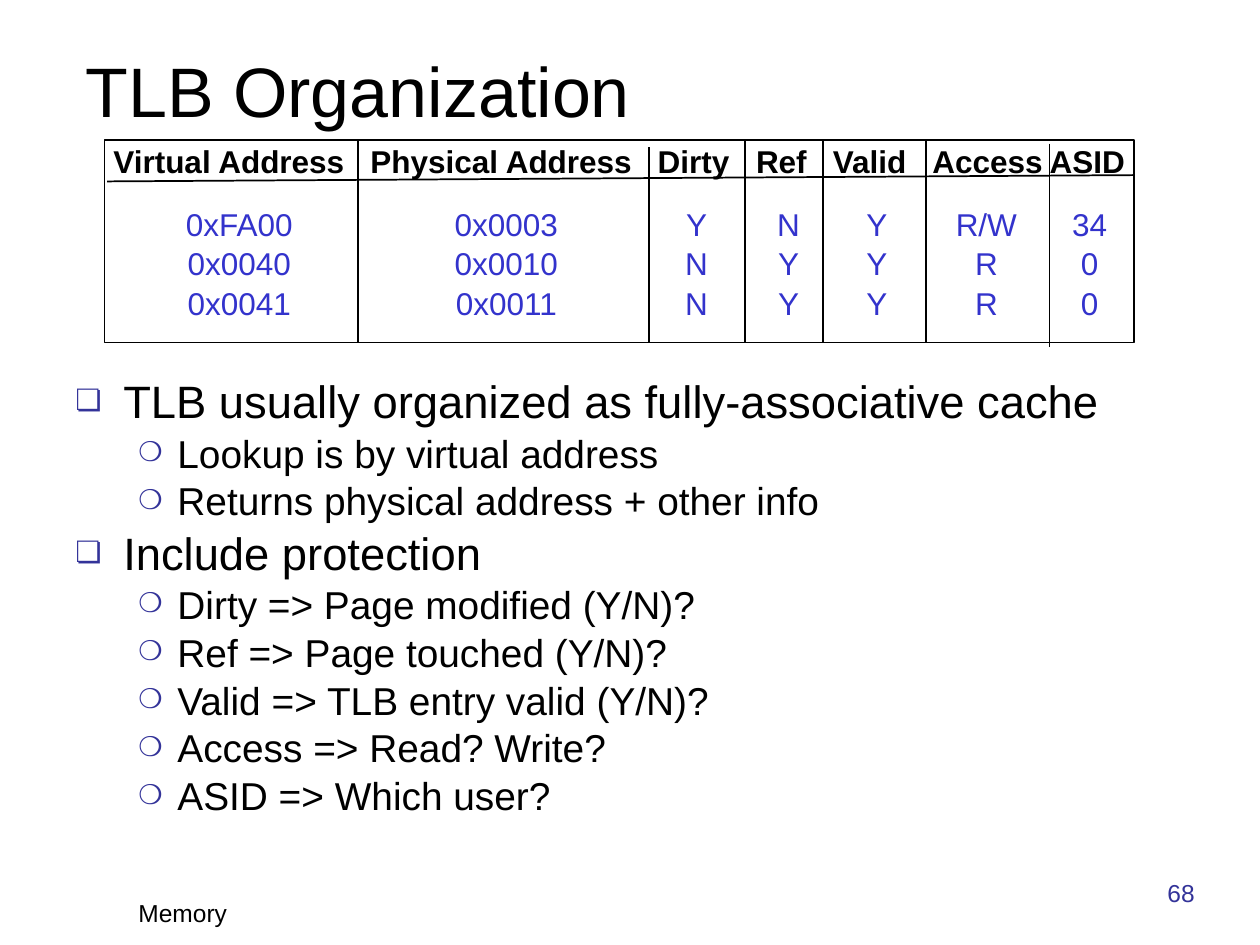
from lxml import etree
from pptx import Presentation
from pptx import util as u
from pptx.dml.color import RGBColor
from pptx.enum import shapes, text
from pptx.oxml import ns

COLORS = {"ink": "000000", "entry": "3333CC", "accent": "333399"}
FONT = "Arial"
HEADINGS = ["Virtual Address", "Physical Address", "Dirty", "Ref", "Valid", "Access", "ASID"]
HEADING_TABS = [2.04, 4.32, 5.1, 5.71, 6.5, 7.43]
ENTRIES = [
    ["0xFA00", "0x0003", "Y", "N", "Y", "R/W", "34"],
    ["0x0040", "0x0010", "N", "Y", "Y", "R", "0"],
    ["0x0041", "0x0011", "N", "Y", "Y", "R", "0"],
]
ENTRY_TABS = [0.88, 3, 4.51, 5.24, 5.94, 6.81, 7.63]
DIVIDERS = [
    (2.01, 0, 1.61), (4.32, 0.06, 1.61), (5.08, 0, 1.61),
    (5.7, 0, 1.61), (6.52, 0, 1.61), (7.5, 0.03, 1.64),
]
POINTS = [
    (0, "TLB usually organized as fully-associative cache"),
    (1, "Lookup is by virtual address"),
    (1, "Returns physical address + other info"),
    (0, "Include protection"),
    (1, "Dirty => Page modified (Y/N)?"),
    (1, "Ref => Page touched (Y/N)?"),
    (1, "Valid => TLB entry valid (Y/N)?"),
    (1, "Access => Read? Write?"),
    (1, "ASID => Which user?"),
]
LEVELS = [
    {"char": "❏", "scale": 65, "left": 0.38, "hang": 0.38, "size": 25.9, "before": 7},
    {"char": "❍", "scale": 70, "left": 0.81, "hang": 0.31, "size": 22.2, "before": 6},
]


def write(p, words, size=18, color="ink", bold=False, align=text.PP_ALIGN.LEFT):
    """Put formatted words into a paragraph."""
    p.alignment = align
    r = p.add_run()
    r.text = words
    r.font.name = FONT
    r.font.size = u.Pt(size)
    r.font.bold = bold
    r.font.color.rgb = RGBColor.from_string(COLORS[color])


def add_element(parent, tag, **attributes):
    """Append a drawing element to its parent."""
    element = etree.SubElement(parent, ns.qn(tag))
    for name, value in attributes.items():
        element.set(name, str(value))
    return element


def add_tabs(p, stops, align):
    """Give a paragraph its tab stops."""
    tabs = add_element(p._p.get_or_add_pPr(), "a:tabLst")
    for stop in stops:
        add_element(tabs, "a:tab", pos=u.Inches(stop), algn=align)


def add_bullet(p, level):
    """Give a paragraph the indent and bullet of its level."""
    ppr = p._p.get_or_add_pPr()
    ppr.set("marL", str(u.Inches(level["left"])))
    ppr.set("indent", str(-u.Inches(level["hang"])))
    add_element(add_element(ppr, "a:buClr"), "a:srgbClr", val=COLORS["accent"])
    add_element(ppr, "a:buSzPct", val=level["scale"] * 1000)
    add_element(ppr, "a:buFont", typeface=FONT)
    add_element(ppr, "a:buChar", char=level["char"])


def add_text_frame(s, box):
    """Add a wrapping text box and return its frame."""
    tf = s.shapes.add_textbox(*map(u.Inches, box)).text_frame
    tf.word_wrap = True
    return tf


def add_rule(s, x1, y1, x2, y2):
    """Draw a thin straight line."""
    line = s.shapes.add_connector(shapes.MSO_CONNECTOR.STRAIGHT,
                                  *map(u.Inches, (x1, y1, x2, y2)))
    line.line.width = u.Pt(1)
    line.line.color.rgb = RGBColor.from_string(COLORS["ink"])
    add_element(line._element.spPr, "a:effectLst")


def add_title(s, box, words):
    """Place the slide title in its box."""
    sp = s.shapes.title
    sp.left, sp.top, sp.width, sp.height = map(u.Inches, box)
    tf = sp.text_frame
    tf.auto_size = text.MSO_AUTO_SIZE.NONE
    tf.vertical_anchor = text.MSO_ANCHOR.BOTTOM
    write(tf.paragraphs[0], words, size=40)


def add_tlb(s, box):
    """Place the framed TLB with its headings, dividers and entries."""
    left, top, width, height = box
    frame = s.shapes.add_shape(shapes.MSO_SHAPE.RECTANGLE, *map(u.Inches, box))
    frame.shadow.inherit = False
    frame.fill.background()
    frame.line.width = u.Pt(1)
    frame.line.color.rgb = RGBColor.from_string(COLORS["ink"])

    tf = add_text_frame(s, (left, top + 0.03, width + 0.08, 0.31))
    tf.margin_left = tf.margin_right = u.Inches(0.07)
    tf.margin_top = tf.margin_bottom = u.Inches(0.03)
    p = tf.paragraphs[0]
    add_tabs(p, HEADING_TABS, "l")
    p.line_spacing = 0.85
    write(p, "\t".join(HEADINGS), bold=True)

    for x, start, end in DIVIDERS:
        add_rule(s, left + x, top + start, left + x, top + end)
    add_rule(s, left + 0.02, top + 0.33, left + width, top + 0.28)

    tf = add_text_frame(s, (left + 0.09, top + 0.45, width - 0.09, 1))
    for i, entry in enumerate(ENTRIES):
        p = tf.add_paragraph() if i else tf.paragraphs[0]
        add_tabs(p, ENTRY_TABS, "ctr")
        p.line_spacing = 1.05
        write(p, "".join("\t" + value for value in entry), color="entry")


def add_points(s, box, points):
    """Place the two-level bullet list in its box."""
    tf = add_text_frame(s, box)
    for i, (depth, words) in enumerate(points):
        p = tf.add_paragraph() if i else tf.paragraphs[0]
        level = LEVELS[depth]
        p.level = depth
        add_bullet(p, level)
        p.line_spacing = 0.8
        p.space_before = u.Pt(level["before"] if i else 0)
        write(p, words, size=level["size"])


def add_footer(s, box, words, **style):
    """Place one footer text at the bottom of its box."""
    tf = add_text_frame(s, box)
    tf.vertical_anchor = text.MSO_ANCHOR.BOTTOM
    write(tf.paragraphs[0], words, size=14, **style)


def main():
    """Build and save the slide."""
    prs = Presentation()
    prs.slide_width, prs.slide_height = u.Inches(10), u.Inches(7.5)
    s = prs.slides.add_slide(prs.slide_layouts[5])
    add_title(s, (0.58, 0.6, 8.92, 0.49), "TLB Organization")
    add_tlb(s, (0.83, 1.11, 8.17, 1.61))
    add_points(s, (0.5, 3, 9.08, 3.67), POINTS)
    add_footer(s, (1, 7.08, 2.08, 0.33), "Memory")
    add_footer(s, (8.33, 6.92, 1.25, 0.33), "68", color="accent", align=text.PP_ALIGN.RIGHT)
    prs.save("out.pptx")


if __name__ == "__main__":
    main()
